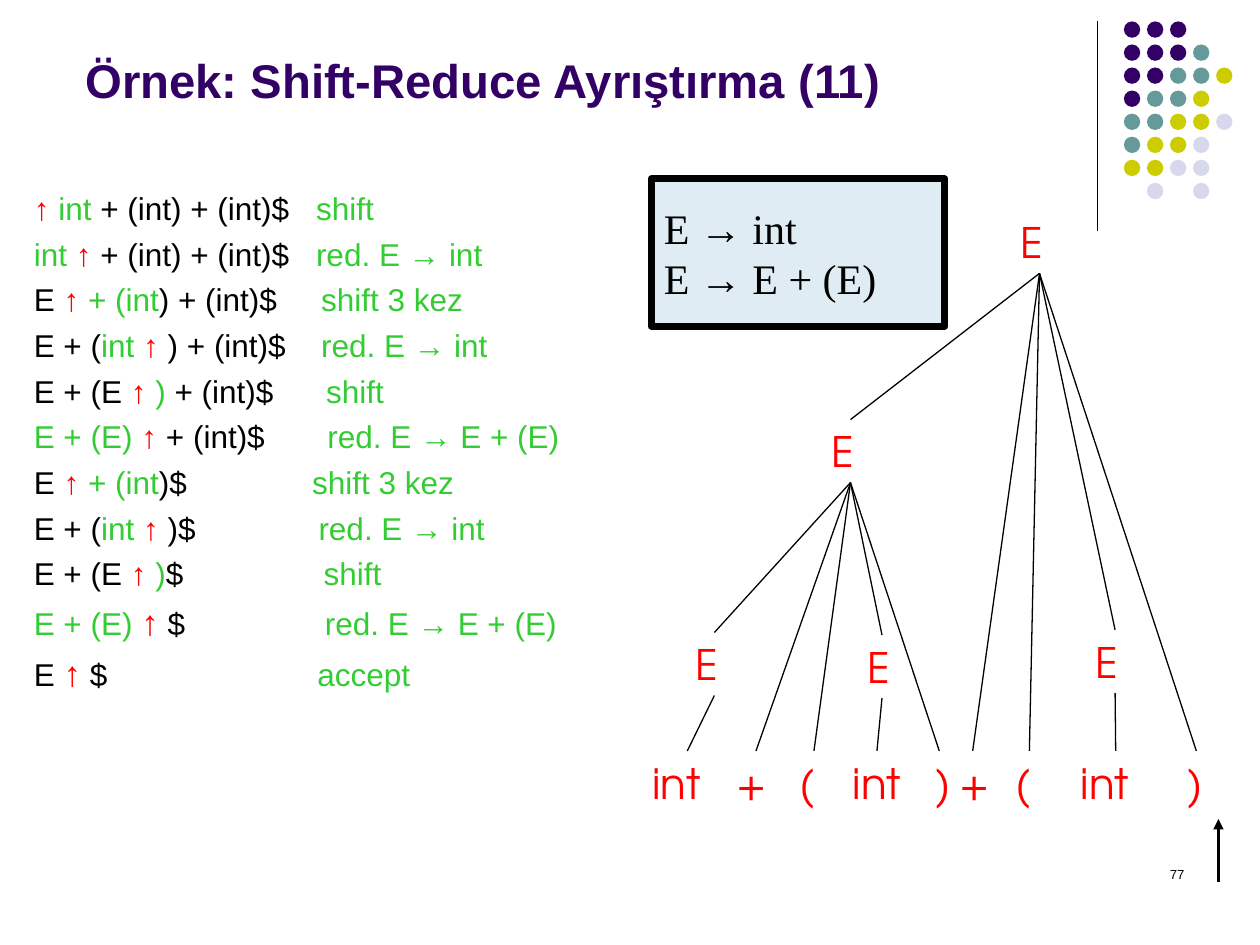
"""Build the slide on shift-reduce parsing, step 11."""
from dataclasses import dataclass
from typing import NamedTuple

from lxml.etree import SubElement as Sub
from pptx import Presentation as Deck
from pptx.dml.color import RGBColor as Color
from pptx.enum.shapes import MSO_CONNECTOR as Link, MSO_SHAPE as Kind
from pptx.enum.text import MSO_ANCHOR as Anchor, PP_ALIGN as Align
from pptx.oxml.ns import qn
from pptx.util import Inches, Pt


@dataclass(frozen=True)
class Theme:
    ink: str = "000000"
    red: str = "FF0000"
    green: str = "33CC33"
    plum: str = "330066"
    teal: str = "669999"
    lime: str = "CCCC00"
    mist: str = "D8D8EC"
    pale: str = "E0ECF4"
    sans: str = "Arial"
    serif: str = "Times New Roman"
    round: str = "TeX Gyre Adventor"
    head: float = 27
    tree: float = 24
    big: float = 20
    body: float = 18
    page: float = 7.5
    thin: float = 0.75
    bold: float = 1.5
    frame: float = 4


T = Theme()


class Run(NamedTuple):
    text: str
    hue: str = T.ink
    size: float = T.body


class Row(NamedTuple):
    tab: float
    runs: tuple[Run, ...]
    act: str
    gap: float = 4.5


class Node(NamedTuple):
    text: str
    x: float
    y: float = 5.96
    w: float = 0.5
    kids: tuple["Node", ...] = ()


def red(text: str, size: float = T.body) -> Run:
    return Run(text, T.red, size)


def green(text: str) -> Run:
    return Run(text, T.green)


UP = red("↑ ")
INT, SUM = "red. E → int", "red. E → E + (E)"
ROWS = (
    Row(2.24, (UP, green("int"), Run(" + (int) + (int)$")), "shift"),
    Row(2.24, (green("int "), UP, Run("+ (int) + (int)$")), INT),
    Row(2.28, (Run("E "), UP, green("+ (int"), Run(") + (int)$")), "shift 3 kez"),
    Row(2.28, (Run("E + ("), green("int "), UP, Run(") + (int)$")), INT),
    Row(2.32, (Run("E + (E "), UP, green(")"), Run(" + (int)$")), "shift"),
    Row(2.33, (green("E + (E) "), UP, Run("+ (int)$")), SUM),
    Row(2.21, (Run("E "), UP, green("+ (int"), Run(")$")), "shift 3 kez"),
    Row(2.26, (Run("E + ("), green("int "), UP, Run(")$")), INT),
    Row(2.3, (Run("E + (E "), UP, green(")"), Run("$")), "shift"),
    Row(2.31, (green("E + (E) "), red("↑", T.big), Run(" $")), SUM, 5),
    Row(2.25, (Run("E "), red("↑", T.big), Run(" $")), "accept", 5),
)

LEFT = Node("E", 6.5, 3.33, kids=(
    Node("E", 5.42, 5.02, kids=(Node("int", 5.08, w=0.75),)),
    Node("+", 5.75),
    Node("(", 6.25, w=0.42),
    Node("E", 6.79, 5.04, 0.42, (Node("int", 6.67, w=0.58),)),
    Node(")", 7.33, w=0.25),
))
ROOT = Node("E", 8, 1.67, kids=(
    LEFT,
    Node("+", 7.52, w=0.4),
    Node("(", 7.96, w=0.42),
    Node("E", 8.6, 5, kids=(Node("int", 8.48, w=0.75),)),
    Node(")", 9.33, w=0.33),
))

DOTS = ("PPP", "PPPT", "PPTTL", "PTTL", "TTLLM", "TLLM", "LLMM", " M M")
HUES = {"P": T.plum, "T": T.teal, "L": T.lime, "M": T.mist}


def rgb(hue: str) -> Color:
    return Color.from_string(hue)


def add_run(para, run: Run, face: str, bold: bool = False) -> None:
    part = para.add_run()
    part.text = run.text
    font = part.font
    font.name, font.size, font.bold = face, Pt(run.size), bold
    font.color.rgb = rgb(run.hue)


def add_box(slide, x: float, y: float, w: float, h: float):
    box = slide.shapes.add_textbox(Inches(x), Inches(y), Inches(w), Inches(h))
    box.text_frame.word_wrap = True
    return box


def add_shape(slide, kind, x: float, y: float, w: float, h: float, hue: str):
    shape = slide.shapes.add_shape(kind, Inches(x), Inches(y), Inches(w), Inches(h))
    shape.shadow.inherit = False
    shape.fill.solid()
    shape.fill.fore_color.rgb = rgb(hue)
    shape.line.fill.background()
    return shape


def add_line(slide, x: float, y: float, to_x: float, to_y: float, width: float = T.thin):
    line = slide.shapes.add_connector(
        Link.STRAIGHT, Inches(x), Inches(y), Inches(to_x), Inches(to_y))
    line.line.color.rgb = rgb(T.ink)
    line.line.width = Pt(width)
    Sub(line._element.spPr, qn("a:effectLst"))
    return line


def add_node(slide, node: Node):
    box = add_box(slide, node.x, node.y, node.w, 0.5)
    add_run(box.text_frame.paragraphs[0], red(node.text, T.tree), T.round)
    for kid in node.kids:
        child = add_node(slide, kid)
        edge = add_line(slide, node.x, node.y, kid.x, kid.y)
        edge.begin_connect(box, 2)
        edge.end_connect(child, 0)
    return box


def add_dots(slide) -> None:
    for j, line in enumerate(DOTS):
        for i, key in enumerate(line):
            if key in HUES:
                add_shape(slide, Kind.OVAL, 8.92 + i * 0.183, 0.17 + j * 0.183,
                          0.13, 0.13, HUES[key])


def add_rules(slide) -> None:
    box = add_shape(slide, Kind.RECTANGLE, 5.17, 1.42, 2.33, 1.17, T.pale)
    box.line.color.rgb = rgb(T.ink)
    box.line.width = Pt(T.frame)
    frame = box.text_frame
    frame.word_wrap = False
    frame.vertical_anchor = Anchor.MIDDLE
    for i, text in enumerate(("E → int", "E → E + (E)")):
        para = frame.add_paragraph() if i else frame.paragraphs[0]
        para.alignment = Align.LEFT
        add_run(para, Run(text, size=T.tree), T.serif)


def add_steps(slide) -> None:
    frame = add_box(slide, 0.17, 1.45, 5.5, 5.6).text_frame
    for i, row in enumerate(ROWS):
        para = frame.add_paragraph() if i else frame.paragraphs[0]
        tabs = Sub(para._p.get_or_add_pPr(), qn("a:tabLst"))
        Sub(tabs, qn("a:tab"), pos=str(Inches(row.tab)), algn="l")
        para.space_before = Pt(row.gap if i else 0)
        for run in (*row.runs, green("\t" + row.act)):
            add_run(para, run, T.sans)


def main() -> None:
    deck = Deck()
    deck.slide_width, deck.slide_height = Inches(10), Inches(7.5)
    slide = deck.slides.add_slide(deck.slide_layouts[6])
    add_line(slide, 8.71, 0.17, 8.71, 1.83)
    add_dots(slide)
    title = add_box(slide, 0.58, 0.33, 9.08, 0.58).text_frame
    title.vertical_anchor = Anchor.BOTTOM
    add_run(title.paragraphs[0], Run("Örnek: Shift-Reduce Ayrıştırma (11)", T.plum, T.head),
            T.sans, True)
    page = add_box(slide, 7.17, 6.83, 2.33, 0.5).text_frame.paragraphs[0]
    page.alignment = Align.RIGHT
    add_run(page, Run("77", size=T.page), T.sans)
    add_node(slide, ROOT)
    arrow = add_line(slide, 9.67, 6.5, 9.67, 7, T.bold)
    Sub(arrow.line._get_or_add_ln(), qn("a:headEnd"), type="triangle")
    add_rules(slide)
    add_steps(slide)
    deck.save("out.pptx")


if __name__ == "__main__":
    main()
